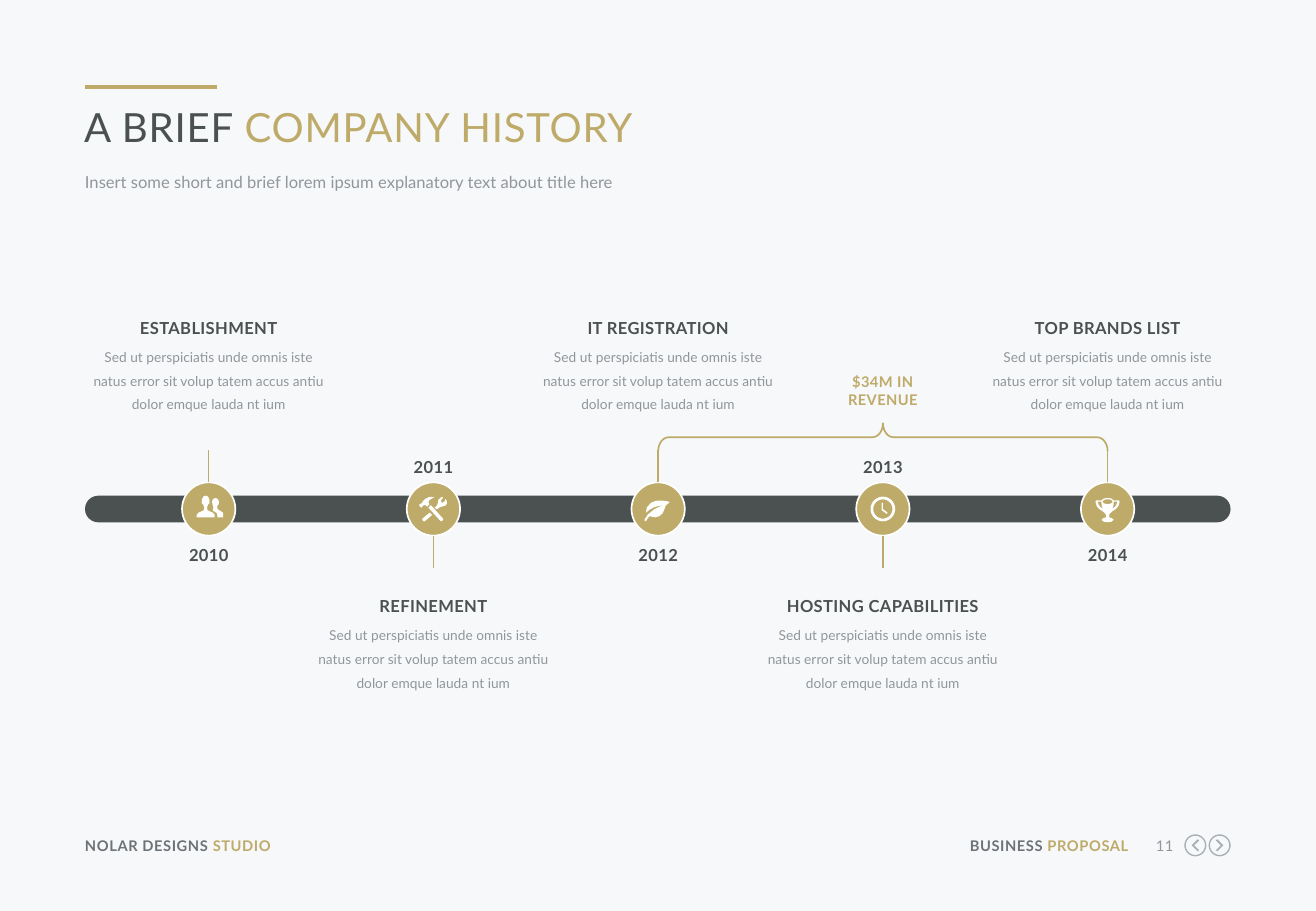
from math import cos, pi, sin

from lxml import etree
from pptx import Presentation
from pptx.dml.color import RGBColor
from pptx.enum.shapes import MSO_CONNECTOR, MSO_SHAPE
from pptx.enum.text import MSO_ANCHOR, MSO_AUTO_SIZE, PP_ALIGN
from pptx.oxml.ns import qn
from pptx.util import Pt

STRAIGHT = MSO_CONNECTOR.STRAIGHT
ROUNDED, OVAL, BRACE = MSO_SHAPE.ROUNDED_RECTANGLE, MSO_SHAPE.OVAL, MSO_SHAPE.LEFT_BRACE
TOP = MSO_ANCHOR.TOP
NO_FIT, GROW = MSO_AUTO_SIZE.NONE, MSO_AUTO_SIZE.SHAPE_TO_FIT_TEXT
LEFT, CENTER, RIGHT = PP_ALIGN.LEFT, PP_ALIGN.CENTER, PP_ALIGN.RIGHT

GOLD, DARK, GREY, SLATE = "BEAA69", "4B5050", "91969B", "6E7378"
WHITE, PALE, BUTTON = "FFFFFF", "F6F8FA", "AAAFB4"
FONT = "Lato"

TITLE = [("A BRIEF ", DARK), ("COMPANY HISTORY", GOLD)]
SUBTITLE = "Insert some short and brief lorem ipsum explanatory text about title here"
STUDIO = [("NOLAR DESIGNS ", SLATE), ("STUDIO", GOLD)]
PROPOSAL = [("BUSINESS ", SLATE), ("PROPOSAL", GOLD)]
PAGE = "11"
REVENUE = "$34M IN REVENUE"
DETAIL = ("Sed ut perspiciatis unde omnis iste natus error sit volup tatem "
          "accus antiu dolor emque lauda nt ium")


def mirrored(half, axis=0):
    return ([(axis + x, y) for x, y in half]
            + [(axis - x, y) for x, y in reversed(half)])


def ellipse(rx, ry, y=0, steps=40):
    return [(rx * cos(2 * pi * i / steps), y + ry * sin(2 * pi * i / steps))
            for i in range(steps)]


FRONT_PERSON = [(0, -7.9), (1.3, -7.4), (2.2, -5.8), (2.2, -4.3), (2.4, -3.6), (1.4, -2.5),
                (0.8, -0.7), (1.1, 0.7), (2.5, 1.4), (4.3, 2.2), (5.4, 3.6), (5.4, 5)]
BACK_PERSON = [(4, -6.5), (5.4, -6), (6, -4.5), (6, -3), (5.2, -2), (5, -0.7), (5.6, 0.4),
               (7, 1.2), (8.6, 2.2), (8.6, 5), (5.2, 5), (5, 2.6), (2.5, 0.9), (2.8, -1),
               (2.2, -3), (2, -4.5), (2.6, -6)]
HAMMER_HEAD = [(-5.8, -2.2), (-4.7, -2.2), (-3.6, -1.4), (-2.2, -2.9), (-2.9, -3.6),
               (-2.6, -5), (-0.9, -6.2), (0.7, -7), (-2.2, -7.2), (-5, -5.8), (-6.5, -4.3),
               (-6.5, -3.6), (-7.9, -2.9), (-8.6, -2.2), (-7.2, -0.7), (-6.5, -1.4)]
HAMMER_GRIP = [(-1.4, -2.2), (-2.9, -0.7), (4.3, 7.2), (5, 7.2), (5.8, 6.5), (5.8, 5.8)]
WRENCH_HEAD = [(7.9, -5), (7.2, -5.8), (6.5, -4.3), (5.4, -3.6), (4.3, -4.6), (5, -5.8),
               (5.8, -6.8), (5, -7.2), (2.9, -5.4), (2.7, -3.6), (2.2, -2.2), (0.7, -0.7),
               (2.2, 0.2), (3.6, -0.9), (5, -1.4), (7.2, -2), (8, -3.2)]
WRENCH_GRIP = [(-6.5, 5.8), (-6.5, 6.5), (-5.6, 7.4), (-5, 7.2), (-0.7, 3.6), (-2.2, 2.2)]
LEAF = [(6.5, -3.6), (4.6, -2.2), (3.8, 0), (2.6, 2.6), (0.7, 4.3), (-1.8, 5), (-5, 4.3),
        (-6.2, 5.6), (-7.2, 7.2), (-8, 7.2), (-8, 6.2), (-6, 3.2), (-2, 0), (2.9, -2.2),
        (-2, -1.2), (-5, 0.4), (-7.2, 2.2), (-6.8, -0.7), (-4.3, -3.6), (-1.5, -4.8),
        (2, -5), (5, -4.6), (6.7, -4.2)]
CLOCK_HANDS = [(0, 0), (2.9, 2.2), (2.2, 2.9), (-0.7, 0.7), (-0.7, -3.6), (0, -3.6)]
CUP = [(0, -6.5), (2.2, -6.2), (3.6, -5), (6.8, -5), (7.2, -4.3), (6.4, -1.6), (5, 0),
       (2.9, 1.4), (1.2, 2.9), (0.8, 4.9), (2.6, 5.5), (3.6, 6.5), (2.2, 7.6), (0, 7.9)]
CUP_HANDLE = [(5.8, -4.3), (3.7, -4.3), (3.5, -2), (2.8, 0), (4.4, -1.2), (5.4, -2.8)]
CHEVRON = [(-2.2, -2.9), (0.7, 0), (-2.2, 2.9), (-1.4, 3.6), (2.2, 0), (-1.4, -3.6)]

PEOPLE = [mirrored(FRONT_PERSON, -1.8), BACK_PERSON]
TOOLS = [HAMMER_HEAD, HAMMER_GRIP, WRENCH_HEAD, WRENCH_GRIP]
CLOCK = [ellipse(7.3, 7.3), ellipse(5.7, 5.7), CLOCK_HANDS]
TROPHY = [mirrored(CUP), ellipse(2.9, 1.4, -4.3), CUP_HANDLE,
          [(-x, y) for x, y in CUP_HANDLE]]
NEXT = [ellipse(6.5, 6.5), ellipse(5.7, 5.7), CHEVRON]
PREVIOUS = [[(-x, y) for x, y in outline] for outline in NEXT]

MILESTONES = [
    ("2010", "ESTABLISHMENT", PEOPLE),
    ("2011", "REFINEMENT", TOOLS),
    ("2012", "IT REGISTRATION", [LEAF]),
    ("2013", "HOSTING CAPABILITIES", CLOCK),
    ("2014", "TOP BRANDS LIST", TROPHY),
]

MARGIN, FIRST_X, STEP, AXIS_Y, RADIUS = 50.4, 123.7, 133.2, 301.7, 15.8
BAR_W, BAR_H, DETAIL_W, YEAR_W, REVENUE_W = 679, 15.8, 136.8, 34.6, 62.6
STEM, BRACE_DEPTH, BRACE_Y = 19.4, 16.6, 259.2
ABOVE = {"heading": 188.6, "year": 323.3, "side": -1}
BELOW = {"heading": 353.5, "year": 270.7, "side": 1}
FOOTER_Y, BUTTON_Y = 496.1, 501.1


def rgb(hex_color):
    return RGBColor.from_string(hex_color)


def write(box, runs, size, align=LEFT, bold=False, spacing=0, leading=None, fit=GROW):
    frame = box.text_frame
    frame.word_wrap = True
    frame.auto_size = fit
    frame.vertical_anchor = TOP
    frame.margin_left = frame.margin_right = frame.margin_top = frame.margin_bottom = 0
    paragraph = frame.paragraphs[0]
    paragraph.alignment = align
    if leading:
        paragraph.line_spacing = Pt(leading)
    for words, color in runs:
        run = paragraph.add_run()
        run.text = words
        run.font.name, run.font.size, run.font.bold = FONT, Pt(size), bold
        run.font.color.rgb = rgb(color)
        if spacing:
            run.font._element.set("spc", str(round(spacing * 100)))


def label(shapes, x, y, w, h, runs, size, **style):
    write(shapes.add_textbox(Pt(x), Pt(y), Pt(w), Pt(h)), runs, size, **style)


def line(shapes, x1, y1, x2, y2, width):
    rule = shapes.add_connector(STRAIGHT, Pt(x1), Pt(y1), Pt(x2), Pt(y2))
    rule.line.color.rgb = rgb(GOLD)
    rule.line.width = Pt(width)
    etree.SubElement(rule._element.spPr, qn("a:effectLst"))


def paint(shape, fill=None, outline=None):
    shape.shadow.inherit = False
    if fill:
        shape.fill.solid()
        shape.fill.fore_color.rgb = rgb(fill)
    else:
        shape.fill.background()
    if outline:
        shape.line.color.rgb = rgb(outline)
        shape.line.width = Pt(1)
    else:
        shape.line.fill.background()


def icon(shapes, x, y, outlines, color):
    placed = [[(Pt(x + dx), Pt(y + dy)) for dx, dy in outline] for outline in outlines]
    builder = shapes.build_freeform(*placed[0][0])
    for index, outline in enumerate(placed):
        if index:
            builder.move_to(*outline[0])
        builder.add_line_segments(outline[1:], close=True)
    paint(builder.convert_to_shape(), color)


def main():
    deck = Presentation()
    deck.slide_width, deck.slide_height = Pt(780), Pt(540)
    slide = deck.slides.add_slide(deck.slide_layouts[5])
    slide.background.fill.solid()
    slide.background.fill.fore_color.rgb = rgb(PALE)
    shapes = slide.shapes

    title = shapes.title
    title.left, title.top, title.width, title.height = Pt(49.9), Pt(60.5), Pt(678), Pt(29.5)
    write(title, TITLE, 23.8, spacing=0.5, fit=NO_FIT)
    line(shapes, MARGIN, 51.8, 128.9, 51.8, 2.25)
    label(shapes, MARGIN, 100.8, 678, 15, [(SUBTITLE, GREY)], 9.8, leading=13)

    label(shapes, MARGIN, FOOTER_Y, 152, 10.8, STUDIO, 8.7, bold=True, spacing=0.3)
    label(shapes, 570.3, FOOTER_Y, 98.6, 10.8, PROPOSAL, 8.7, align=RIGHT, bold=True, spacing=0.3)
    label(shapes, 677.5, FOOTER_Y, 18, 10.8, [(PAGE, GREY)], 8.7, align=RIGHT, spacing=0.3)
    icon(shapes, 708.5, BUTTON_Y, PREVIOUS, BUTTON)
    icon(shapes, 722.9, BUTTON_Y, NEXT, BUTTON)

    revenue_x = FIRST_X + 3 * STEP
    brace = shapes.add_shape(BRACE, Pt(revenue_x - BRACE_DEPTH / 2), Pt(BRACE_Y - STEP),
                             Pt(BRACE_DEPTH), Pt(2 * STEP))
    brace.adjustments[0] = 0.372
    brace.rotation = 90
    paint(brace, outline=GOLD)
    label(shapes, revenue_x - REVENUE_W / 2, 221, REVENUE_W, 20.9, [(REVENUE, GOLD)], 8.7,
          align=CENTER, bold=True, spacing=0.2)

    bar = shapes.add_shape(ROUNDED, Pt(MARGIN), Pt(AXIS_Y - BAR_H / 2), Pt(BAR_W), Pt(BAR_H))
    bar.adjustments[0] = 0.5
    paint(bar, DARK)

    for index, (year, heading, outlines) in enumerate(MILESTONES):
        x = FIRST_X + index * STEP
        place = BELOW if index % 2 else ABOVE
        label(shapes, x - YEAR_W / 2, place["year"], YEAR_W, 11.5, [(year, DARK)], 9.8,
              align=CENTER, bold=True, spacing=0.2)
        story = shapes.add_group_shape().shapes
        label(story, x - DETAIL_W / 2, place["heading"] + 13.7, DETAIL_W, 42.5,
              [(DETAIL, GREY)], 8.1, align=CENTER, leading=14.1)
        label(story, x - DETAIL_W / 2, place["heading"], DETAIL_W, 11.5,
              [(heading, DARK)], 9.8, align=CENTER, bold=True, spacing=0.2)
        circle = shapes.add_shape(OVAL, Pt(x - RADIUS), Pt(AXIS_Y - RADIUS),
                                  Pt(2 * RADIUS), Pt(2 * RADIUS))
        paint(circle, GOLD, WHITE)
        edge = AXIS_Y + place["side"] * RADIUS
        line(shapes, x, edge, x, edge + place["side"] * STEM, 1)
        icon(shapes, x, AXIS_Y, outlines, WHITE)

    deck.save("out.pptx")


if __name__ == "__main__":
    main()
